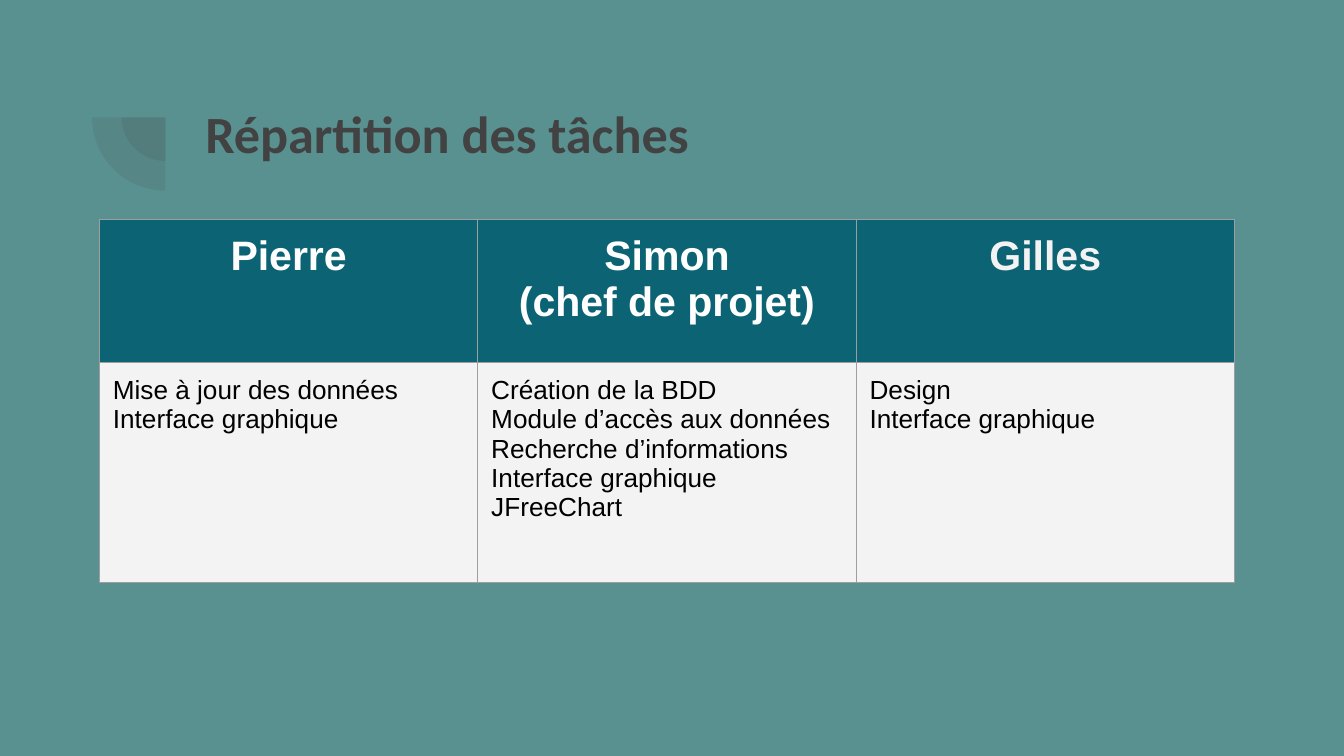
from dataclasses import dataclass

from lxml.etree import SubElement as Sub
from pptx import Presentation as Deck
from pptx.dml.color import RGBColor as Rgb
from pptx.enum.shapes import MSO_SHAPE as Shape
from pptx.enum.text import MSO_ANCHOR as Anchor, MSO_AUTO_SIZE as Auto, PP_ALIGN as Align
from pptx.oxml.ns import qn
from pptx.util import Inches, Pt


@dataclass(frozen=True)
class Theme:
    """Colours, fonts and type sizes."""
    back: str = "599191"
    dark: str = "424242"
    head: str = "0B6374"
    pale: str = "F3F3F3"
    white: str = "FFFFFF"
    black: str = "000000"
    rule: str = "9E9E9E"
    serif: str = "Calibri"
    sans: str = "Arial"
    title: int = 28
    name: int = 22
    task: int = 14


LOOK = Theme()
WIDE = Inches(10)
HIGH = WIDE * 9 // 16
TEAM = [
    ("Pierre", LOOK.white, ["Mise à jour des données", "Interface graphique"]),
    ("Simon\n(chef de projet)", LOOK.white,
     ["Création de la BDD", "Module d’accès aux données", "Recherche d’informations",
      "Interface graphique", "JFreeChart"]),
    ("Gilles", LOOK.pale, ["Design", "Interface graphique"]),
]


def part(num):
    """Return a length given in hundredths of the slide width."""
    return int(WIDE * num / 100)


def apply(item, form):
    """Set every attribute of item that form lists."""
    for key, val in form.items():
        setattr(item, key, val)


PAD = {f"margin_{side}": part(1) for side in ("left", "right", "top", "bottom")}


def paint(fill, tone):
    """Make a fill solid in one colour."""
    fill.solid()
    fill.fore_color.rgb = Rgb.from_string(tone)


def write(frame, text, face, size, tone, bold, align):
    """Put text in a frame, one paragraph a line, in one format."""
    frame.text = text
    form = {"name": face, "size": Pt(size), "bold": bold}
    for para in frame.paragraphs:
        para.alignment = align
        for run in para.runs:
            apply(run.font, form)
            run.font.color.rgb = Rgb.from_string(tone)


def add_pie(slide, mid, size):
    """Draw a faint quarter disc about a centre."""
    left, top = (part(val - size / 2) for val in mid)
    pie = slide.shapes.add_shape(Shape.PIE, left, top, part(size), part(size))
    pie.adjustments[0], pie.adjustments[1] = 107.93, 162
    pie.rotation = 270
    pie.shadow.inherit = False
    paint(pie.fill, LOOK.dark)
    pie.line.fill.background()
    tint = pie.fill._xPr.find(qn("a:solidFill"))[0]
    Sub(tint, qn("a:alpha"), val="13000")


def set_title(slide, text):
    """Place and format the title."""
    title = slide.shapes.title
    apply(title, {"left": part(14.27), "top": part(6.5),
                  "width": part(76.9), "height": part(10.9)})
    frame = title.text_frame
    apply(frame, {"word_wrap": True, "auto_size": Auto.NONE,
                  "vertical_anchor": Anchor.TOP, **PAD})
    write(frame, text, LOOK.serif, LOOK.title, LOOK.dark, True, Align.LEFT)


def edge(cell):
    """Rule all four sides of a cell."""
    props = cell._tc.get_or_add_tcPr()
    for side in "LRTB":
        line = Sub(props, qn(f"a:ln{side}"), w=str(Pt(0.75)))
        Sub(Sub(line, qn("a:solidFill")), qn("a:srgbClr"), val=LOOK.rule)


def fill_cell(cell, tone, *text):
    """Rule, paint and write one cell."""
    edge(cell)
    paint(cell.fill, tone)
    apply(cell, {"vertical_anchor": Anchor.TOP, **PAD})
    write(cell.text_frame, *text)


def add_team(slide, team):
    """Lay out one column a member, name above tasks."""
    wide, rows = 28.15, (10.63, 16.38)
    table = slide.shapes.add_table(
        len(rows), len(team), part(7.4), part(16.33),
        part(wide * len(team)), part(sum(rows))).table
    for row, high in zip(table.rows, rows):
        row.height = part(high)
    for col, (name, tone, tasks) in enumerate(team):
        table.columns[col].width = part(wide)
        fill_cell(table.cell(0, col), LOOK.head, name, LOOK.sans, LOOK.name,
                  tone, True, Align.CENTER)
        fill_cell(table.cell(1, col), LOOK.pale, "\n".join(tasks), LOOK.sans,
                  LOOK.task, LOOK.black, False, Align.LEFT)


def main():
    """Build and save the slide."""
    deck = Deck()
    apply(deck, {"slide_width": WIDE, "slide_height": HIGH})
    slide = deck.slides.add_slide(deck.slide_layouts.get_by_name("Title Only"))
    paint(slide.background.fill, LOOK.back)
    for size in (6.5, 10.9):
        add_pie(slide, (12.3, 8.73), size)
    set_title(slide, "Répartition des tâches")
    add_team(slide, TEAM)
    deck.save("out.pptx")


if __name__ == "__main__":
    main()
